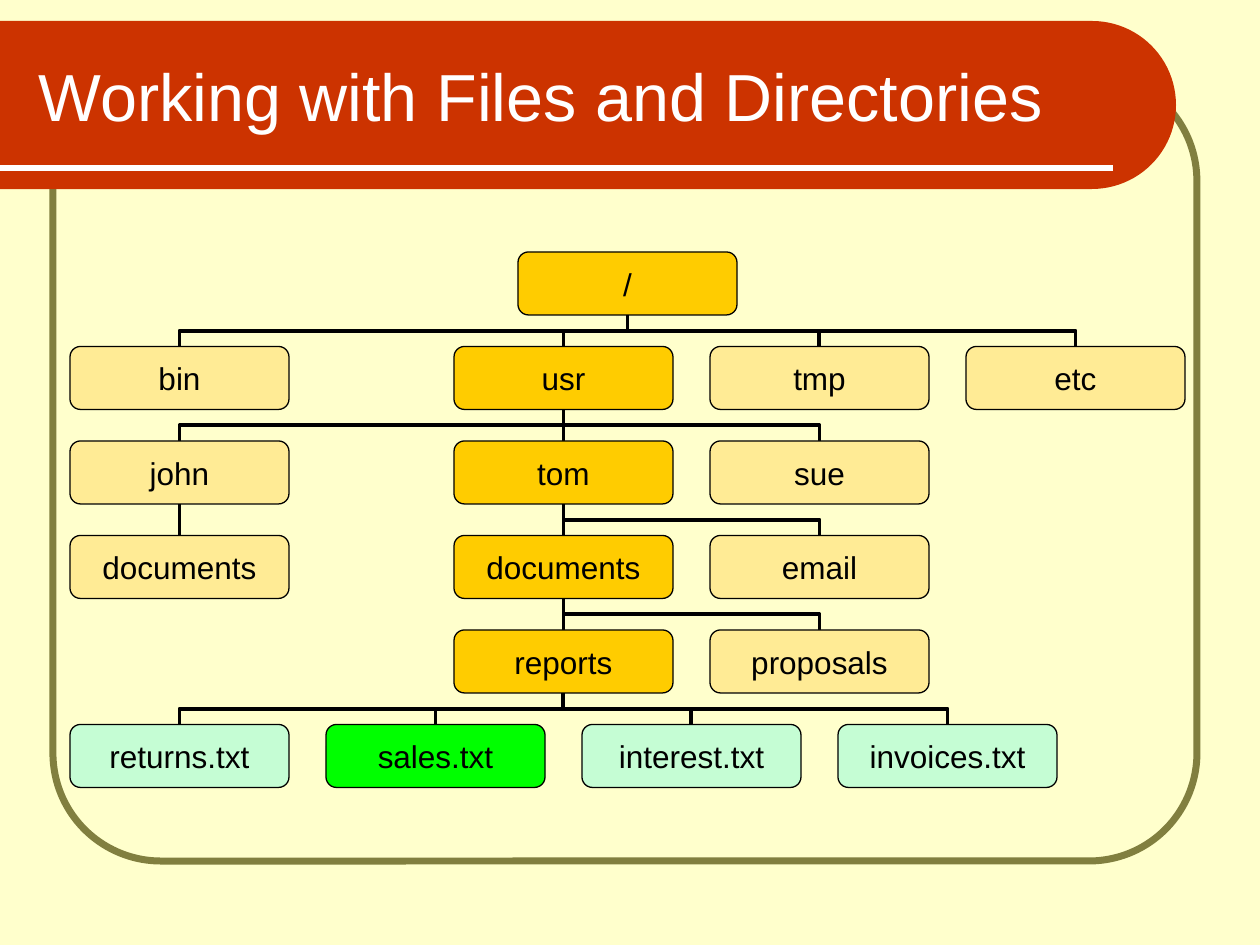
import math
from dataclasses import dataclass

import pptx
import pptx.dml.color
import pptx.enum.shapes
import pptx.enum.text
import pptx.oxml.ns
import pptx.shapes.connector
import pptx.slide
import pptx.util
from lxml import etree

EMU_PER_PX = 914400 / 126
QUARTER_TURN = 5400000


@dataclass(frozen=True)
class Theme:
    font: str = "Arial"
    title_size: int = 38
    node_size: int = 18
    background: str = "FFFFCC"
    frame: str = "817F3F"
    band: str = "CC3300"
    white: str = "FFFFFF"
    black: str = "000000"
    path_folder: str = "FFCC00"
    folder: str = "FFEB95"
    path_file: str = "00FF00"
    file: str = "C5FDD4"


THEME = Theme()


@dataclass(frozen=True)
class Node:
    name: str
    column: float
    fill: str = THEME.folder
    children: tuple["Node", ...] = ()


@dataclass(frozen=True)
class Grid:
    """Columns may be fractional; each tree level takes one row."""

    left: int = 70
    top: int = 252
    column_step: int = 256
    row_step: float = 94.5
    node_width: int = 219
    node_height: int = 63

    def corner(self, node: Node, row: int) -> tuple[float, float]:
        return self.left + node.column * self.column_step, self.top + row * self.row_step


GRID = Grid()

REPORTS = Node("reports", 1.5, THEME.path_folder, (
    Node("returns.txt", 0, THEME.file),
    Node("sales.txt", 1, THEME.path_file),
    Node("interest.txt", 2, THEME.file),
    Node("invoices.txt", 3, THEME.file),
))
TOM_DOCUMENTS = Node("documents", 1.5, THEME.path_folder, (REPORTS, Node("proposals", 2.5)))
USR = Node("usr", 1.5, THEME.path_folder, (
    Node("john", 0, children=(Node("documents", 0),)),
    Node("tom", 1.5, THEME.path_folder, (TOM_DOCUMENTS, Node("email", 2.5))),
    Node("sue", 2.5),
))
ROOT = Node("/", 1.75, THEME.path_folder, (
    Node("bin", 0), USR, Node("tmp", 2.5), Node("etc", 3.5),
))


def px(length: float) -> pptx.util.Emu:
    return pptx.util.Emu(round(length * EMU_PER_PX))


def rgb(color: str) -> pptx.dml.color.RGBColor:
    return pptx.dml.color.RGBColor.from_string(color)


def style_line(line, color: str, width: float) -> None:
    line.color.rgb = rgb(color)
    line.width = pptx.util.Pt(width)


def style_text(frame, size: int, color: str, align) -> None:
    frame.vertical_anchor = pptx.enum.text.MSO_ANCHOR.MIDDLE
    para = frame.paragraphs[0]
    para.alignment = align
    for span in para.runs:
        span.font.name = THEME.font
        span.font.size = pptx.util.Pt(size)
        span.font.color.rgb = rgb(color)


def add_line(page: pptx.slide.Slide, kind, begin: tuple[float, float],
             end: tuple[float, float], color: str,
             width: float) -> pptx.shapes.connector.Connector:
    connector = page.shapes.add_connector(kind, *map(px, begin + end))
    style_line(connector.line, color, width)
    etree.SubElement(connector._element.spPr, pptx.oxml.ns.qn("a:effectLst"))
    return connector


def draw_backdrop(page: pptx.slide.Slide) -> None:
    page.background.fill.solid()
    page.background.fill.fore_color.rgb = rgb(THEME.background)

    frame = page.shapes.add_shape(
        pptx.enum.shapes.MSO_SHAPE.ROUNDED_RECTANGLE, px(53), px(73), px(1144), px(788))
    frame.adjustments[0] = 0.137
    frame.shadow.inherit = False
    frame.fill.background()
    style_line(frame.line, THEME.frame, 4)

    center_x, center_y, radius, steps = 1092, 105, 84, 48
    angles = [math.pi * (step / steps - 0.5) for step in range(steps + 1)]
    outline = [(px(center_x + radius * math.cos(angle)), px(center_y + radius * math.sin(angle)))
               for angle in angles]
    builder = page.shapes.build_freeform(0, px(center_y - radius))
    builder.add_line_segments(outline + [(0, px(center_y + radius))], close=True)
    band = builder.convert_to_shape()
    band.shadow.inherit = False
    band.fill.solid()
    band.fill.fore_color.rgb = rgb(THEME.band)
    band.line.fill.background()

    add_line(page, pptx.enum.shapes.MSO_CONNECTOR.STRAIGHT, (0, 168), (1113, 168), THEME.white, 3)


def draw_title(page: pptx.slide.Slide, text: str) -> None:
    title = page.shapes.title
    title.left, title.top, title.width, title.height = map(px, (26, 32, 1105, 126))
    title.text_frame.text = text
    title.text_frame.auto_size = pptx.enum.text.MSO_AUTO_SIZE.NONE
    style_text(title.text_frame, THEME.title_size, THEME.white, pptx.enum.text.PP_ALIGN.LEFT)
    page.shapes._spTree.append(title._element)  # in front of the band


def draw_branch(page: pptx.slide.Slide, parent: Node, child: Node, row: int) -> None:
    """Join a parent's bottom to its child's top, leaving the parent downwards."""
    kinds = pptx.enum.shapes.MSO_CONNECTOR
    parent_left, parent_top = GRID.corner(parent, row)
    child_left, child_top = GRID.corner(child, row + 1)
    half_width = GRID.node_width / 2
    begin = parent_left + half_width, parent_top + GRID.node_height
    end = child_left + half_width, child_top
    if begin[0] == end[0]:
        add_line(page, kinds.STRAIGHT, begin, end, THEME.black, 2.25)
        return
    # An elbow starts sideways, so lay it out a quarter turn back and rotate it.
    middle_x, middle_y = (begin[0] + end[0]) / 2, (begin[1] + end[1]) / 2
    half_run, half_drop = (end[0] - begin[0]) / 2, (end[1] - begin[1]) / 2
    elbow = add_line(page, kinds.ELBOW, (middle_x - half_drop, middle_y + half_run),
                     (middle_x + half_drop, middle_y - half_run), THEME.black, 2.25)
    elbow._element.spPr.xfrm.set("rot", str(QUARTER_TURN))


def draw_branches(page: pptx.slide.Slide, node: Node, row: int = 0) -> None:
    for child in node.children:
        draw_branch(page, node, child, row)
        draw_branches(page, child, row + 1)


def draw_nodes(page: pptx.slide.Slide, node: Node, row: int = 0) -> None:
    left, top = GRID.corner(node, row)
    box = page.shapes.add_shape(
        pptx.enum.shapes.MSO_SHAPE.ROUNDED_RECTANGLE,
        px(left), px(top), px(GRID.node_width), px(GRID.node_height))
    box.shadow.inherit = False
    box.fill.solid()
    box.fill.fore_color.rgb = rgb(node.fill)
    style_line(box.line, THEME.black, 0.75)
    box.text_frame.text = node.name
    box.text_frame.word_wrap = False
    style_text(box.text_frame, THEME.node_size, THEME.black, pptx.enum.text.PP_ALIGN.CENTER)
    for child in node.children:
        draw_nodes(page, child, row + 1)


def main() -> None:
    deck = pptx.Presentation()
    deck.slide_width, deck.slide_height = px(1260), px(945)
    page = deck.slides.add_slide(deck.slide_layouts.get_by_name("Title Only"))
    draw_backdrop(page)
    draw_title(page, "Working with Files and Directories")
    draw_branches(page, ROOT)
    draw_nodes(page, ROOT)
    deck.save("out.pptx")


if __name__ == "__main__":
    main()
